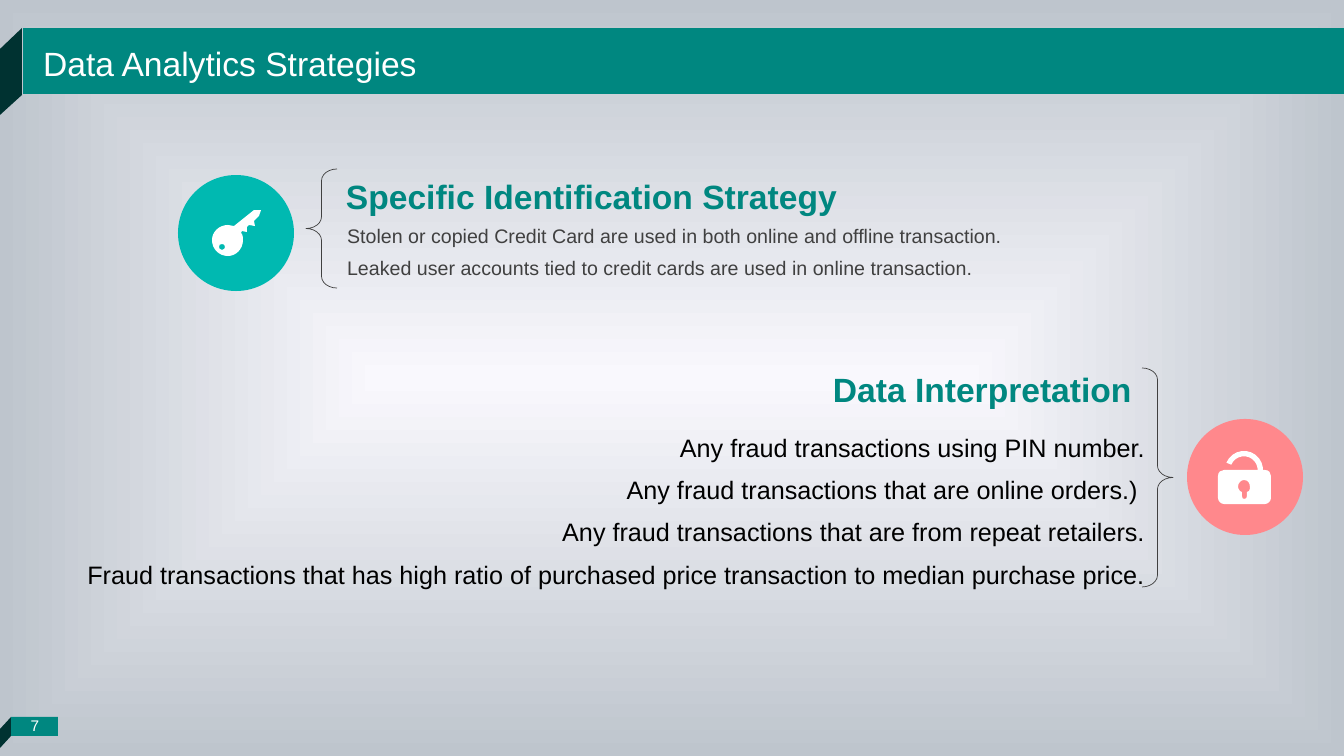
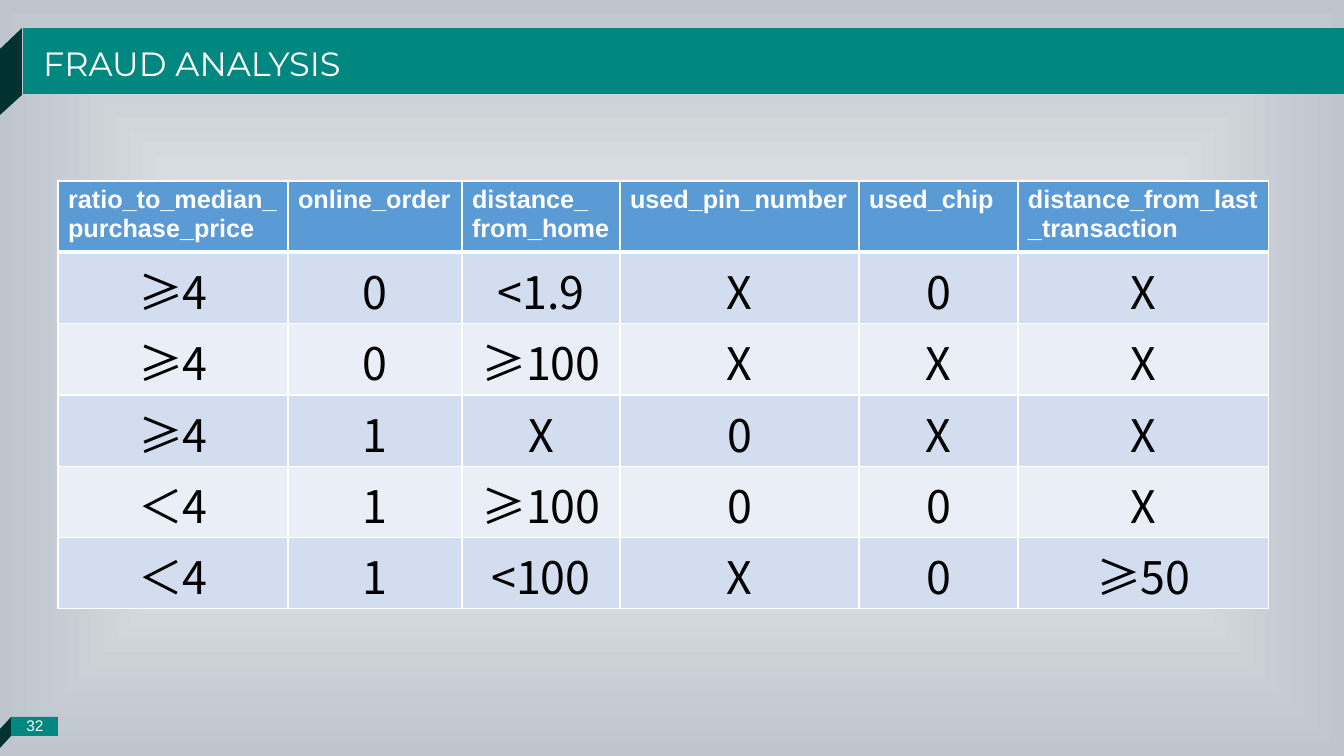
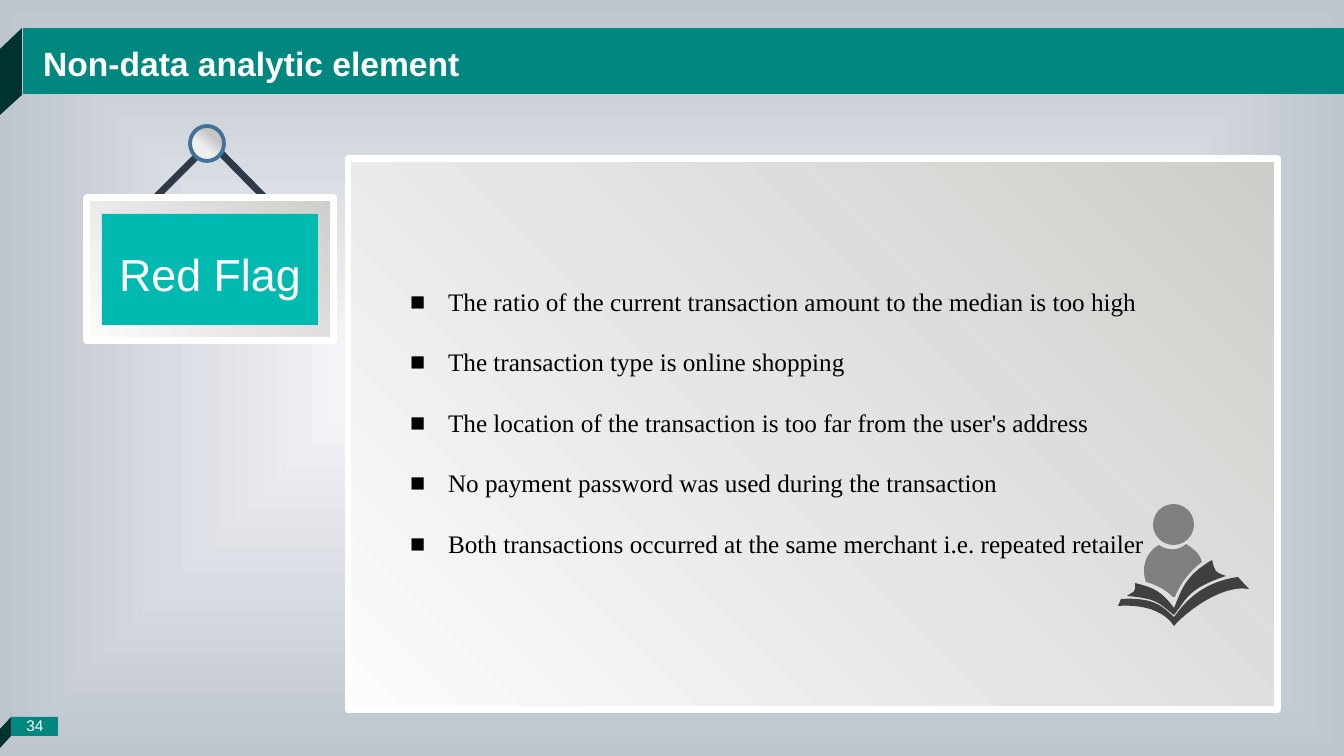
from lxml.etree import SubElement
from pptx import Presentation
from pptx.dml.color import RGBColor
from pptx.enum.shapes import MSO_CONNECTOR as Link, MSO_SHAPE as Kind
from pptx.enum.text import MSO_ANCHOR as Anchor, MSO_AUTO_SIZE as Fit, PP_ALIGN as Align
from pptx.oxml.ns import qn
from pptx.util import Emu, Pt

WIDE, HIGH = 1344, 756
PX = 12192000 / WIDE

# Colours shared by the slides
TEAL, DARK, AQUA, PINK = "008780", "003231", "00B9B1", "FF888C"
WHITE, BLACK, GREY, MID = "FFFFFF", "000000", "404040", "7F7F7F"
HEAD, BANDS = "5B9BD5", ("D2DEEF", "EAEFF7")
BACK = [(0, "F9F8FD"), (100, "BEC5CD")]
PAPER = [(0, "FCFCFC"), (100, "CFCDCA")]
METAL = [(0, "BFBFBF"), (30, "C6C6C6"), (61, "EEEEEE"), (100, "F4F4F4")]

# Outlines: a pair is a corner, six numbers are a curve
FLAPS = [
    [(0, 49), (0, 115), (22, 95), (22, 28)],
    [(11, 717), (0, 729), (0, 748), (11, 736)],
]

# Content: strategies
RISKS = [
    "Stolen or copied Credit Card are used in both online and offline transaction.",
    "Leaked user accounts tied to credit cards are used in online transaction. ",
]
SIGNS = [
    "Any fraud transactions using PIN number.",
    "Any fraud transactions that are online orders.) ",
    "Any fraud transactions that are from repeat retailers.",
    "Fraud transactions that has high ratio of purchased price transaction to median purchase price.",
]
HEADS = [
    ("Specific Identification Strategy", (336, 171, 525, 51)),
    ("Data Interpretation", (823, 364, 332, 51)),
]
BRACES = [
    (Kind.LEFT_BRACE, (306, 169, 31, 119)),
    (Kind.RIGHT_BRACE, (1142, 368, 31, 219)),
]
KEY = [
    [(222, 244), (220, 244, 219, 245, 219, 247), (219, 248, 220, 250, 222, 250),
     (224, 250, 225, 248, 225, 247), (225, 245, 224, 244, 222, 244)],
    [(261, 210), (259, 216), (254, 221), (255, 226), (249, 225), (247, 227), (247, 232),
     (242, 231), (241, 233), (242, 234), (243, 236, 243, 238, 243, 240),
     (243, 249, 236, 256, 228, 256), (219, 256, 212, 249, 212, 240),
     (212, 232, 219, 225, 228, 225), (230, 225, 232, 226, 234, 226), (254, 210)],
]
LOCK = [
    [(1244, 480), (1241, 480, 1238, 483, 1238, 487), (1238, 488, 1239, 490, 1240, 491),
     (1242, 492), (1242, 496), (1242, 498, 1243, 499, 1244, 499),
     (1246, 499, 1247, 498, 1247, 496), (1247, 492), (1249, 491),
     (1250, 490, 1250, 488, 1250, 487), (1250, 483, 1248, 480, 1244, 480)],
    [(1224, 470), (1265, 470), (1269, 470, 1271, 473, 1271, 476), (1271, 498),
     (1271, 501, 1268, 504, 1265, 504), (1224, 504), (1221, 504, 1218, 501, 1218, 498),
     (1218, 476), (1218, 472, 1221, 470, 1224, 470)],
]

# Content: analysis table
COLS = [230, 174, 158, 239, 159, 251]
ROWS = [
    ["ratio_to_median_purchase_price", "online_order", "distance_\nfrom_home",
     "used_pin_number", "used_chip", "distance_from_last_transaction"],
    ["≥4", "0", "<1.9", "X", "0", "X"],
    ["≥4", "0", "≥100", "X", "X", "X"],
    ["≥4", "1", "X", "0", "X", "X"],
    ["＜4", "1", "≥100", "0", "0", "X"],
    ["＜4", "1", "<100", "X", "0", "≥50"],
]

# Content: red flags
FLAGS = [
    "The ratio of the current transaction amount to the median is too high",
    "The transaction type is online shopping",
    "The location of the transaction is too far from the user's address",
    "No payment password was used during the transaction",
    "Both transactions occurred at the same merchant i.e. repeated retailer",
]
CORDS = [(206, 147, 151, 202), (214, 146, 268, 201)]
READER = [
    (GREY, [(1212, 560), (1185, 576, 1182, 589, 1174, 608), (1162, 592, 1155, 588, 1135, 583),
            (1136, 594, 1133, 591, 1127, 596), (1159, 599, 1158, 603, 1174, 615),
            (1187, 599, 1187, 589, 1226, 576), (1214, 572, 1215, 571, 1212, 560)]),
    (GREY, [(1238, 577), (1194, 583, 1178, 613, 1174, 617), (1163, 607, 1155, 597, 1121, 599),
            (1118, 606), (1145, 604, 1165, 612, 1174, 626), (1181, 617, 1219, 584, 1249, 589)]),
    (MID, [(1186, 544), (1194, 549, 1200, 554, 1202, 562), (1188, 572, 1178, 588, 1175, 597),
           (1173, 597), (1166, 590, 1157, 585, 1146, 582), (1145, 579, 1144, 575, 1144, 571),
           (1144, 560, 1149, 552, 1157, 546), (1159, 545), (1167, 551, 1179, 551, 1186, 544)]),
]


def px(*vals):
    return [Emu(round(v * PX)) for v in vals]


def rgb(tone):
    return RGBColor.from_string(tone)


def blend(fill, props, stops, mode, **keys):
    """Give a gradient its stops and its direction."""
    fill.gradient()
    grad = props.find(qn("a:gradFill"))
    for part in list(grad):
        grad.remove(part)
    line = SubElement(grad, qn("a:gsLst"))
    for pos, tone in stops:
        stop = SubElement(line, qn("a:gs"), pos=str(pos * 1000))
        SubElement(stop, qn("a:srgbClr"), val=tone)
    return SubElement(grad, qn(mode), **keys)


def paint(shape, fill, line=None, width=1, angle=0):
    shape.shadow.inherit = False
    if fill is None:
        shape.fill.background()
    elif isinstance(fill, str):
        shape.fill.solid()
        shape.fill.fore_color.rgb = rgb(fill)
    else:
        blend(shape.fill, shape._element.spPr, fill, "a:lin", ang=str(angle * 60000), scaled="0")
    if line:
        shape.line.color.rgb = rgb(line)
        shape.line.width = Pt(width)
    else:
        shape.line.fill.background()
    return shape


def draw(slide, kind, box, fill, *line, **keys):
    return paint(slide.shapes.add_shape(kind, *px(*box)), fill, *line, **keys)


def trace(slide, loops, fill):
    """Draw closed outlines as one shape, then bend the curved sides."""
    ends = [[step[-2:] for step in loop] for loop in loops]
    left, top = (min(p[i] for loop in ends for p in loop) for i in (0, 1))
    pen = slide.shapes.build_freeform(*ends[0][0], scale=PX)
    for n, loop in enumerate(ends):
        if n:
            pen.move_to(*loop[0])
        pen.add_line_segments(loop[1:], close=True)
    shape = pen.convert_to_shape()
    sides = list(shape._element.iter(qn("a:lnTo")))
    steps = [step for loop in loops for step in loop[1:]]
    for side, step in zip(sides, steps):
        if len(step) == 6:
            bend = side.makeelement(qn("a:cubicBezTo"))
            for x, y in zip(step[::2], step[1::2]):
                SubElement(bend, qn("a:pt"), x=str(x - left), y=str(y - top))
            side.getparent().replace(side, bend)
    return paint(shape, fill)


def write(frame, text, size, tone, font="Arial", bold=False, align=Align.LEFT, gap=None):
    frame.text = text
    for para in frame.paragraphs:
        para.alignment = align
        para.space_before = Pt(0)
        if gap:
            para.line_spacing = gap
        for run in para.runs:
            run.font.size, run.font.bold = Pt(size), bold
            run.font.color.rgb = rgb(tone)
            run.font.name = font
            SubElement(run._r.rPr, qn("a:ea"), typeface=font)


def place(shape, box):
    """Set a text holder's box and bring it to the front."""
    shape.left, shape.top, shape.width, shape.height = px(*box)
    frame = shape.text_frame
    frame.word_wrap, frame.auto_size = True, Fit.NONE
    frame.vertical_anchor = Anchor.TOP
    shape._element.getparent().append(shape._element)
    return frame


def label(slide, box, *args, **keys):
    frame = place(slide.shapes.add_textbox(0, 0, 0, 0), box)
    write(frame, *args, **keys)
    return frame


def items(shape, box, lines, size, tone, mark=None, **keys):
    frame = place(shape, box)
    write(frame, "\n".join(lines), size, tone, **keys)
    inset = px(38)[0] if mark else 0
    for para in frame.paragraphs:
        props = para._p.get_or_add_pPr()
        props.set("marL", str(inset))
        props.set("indent", str(-inset))
        if mark:
            SubElement(props, qn("a:buFont"), typeface="Arial")
            SubElement(props, qn("a:buChar"), char=mark)
        else:
            SubElement(props, qn("a:buNone"))


def start(deck, layout, title, width, page, **keys):
    """Add a slide with the title band and the page tag."""
    slide = deck.slides.add_slide(deck.slide_layouts[layout])
    draw(slide, Kind.RECTANGLE, (23, 28, WIDE - 23, 66), TEAL)
    draw(slide, Kind.RECTANGLE, (11, 717, 47, 19), TEAL)
    for flap in FLAPS:
        trace(slide, [flap], DARK)
    label(slide, (12, 711, 46, 32), str(page), 11, WHITE, align=Align.CENTER)
    write(place(slide.shapes.title, (33, 38, width, 51)), title, 24, WHITE, **keys)
    return slide


def plans(deck):
    slide = start(deck, 3, "Data Analytics Strategies", 407, 7)
    body = slide.placeholders
    items(body[1], (337, 209, 784, 73), RISKS, 14, GREY, align=Align.JUSTIFY, gap=1.4)
    items(body[2], (56, 415, 1099, 176), SIGNS, 18, BLACK, align=Align.RIGHT, gap=1.4)
    for text, box in HEADS:
        label(slide, box, text, 24, TEAL, bold=True)
    for kind, box in BRACES:
        brace = draw(slide, kind, box, None, GREY, 0.5)
        brace.adjustments[0] = 0.38

    # Key badge
    draw(slide, Kind.OVAL, (178, 175, 116, 116), AQUA)
    trace(slide, KEY, WHITE)

    # Padlock badge
    draw(slide, Kind.OVAL, (1187, 419, 116, 116), PINK)
    hoop = draw(slide, Kind.BLOCK_ARC, (1225, 451, 38, 38), WHITE)
    hoop.adjustments[2] = 0.14
    hoop.rotation = 22.4
    trace(slide, LOCK, WHITE)


def edge(cell, side, width):
    line = SubElement(cell._tc.get_or_add_tcPr(), qn("a:ln" + side), w=str(Pt(width)))
    SubElement(SubElement(line, qn("a:solidFill")), qn("a:srgbClr"), val=WHITE)


def table(deck):
    slide = start(deck, 5, "FRAUD ANALYSIS", 348, 32, font="Montserrat")
    grid = slide.shapes.add_table(len(ROWS), len(COLS), *px(58, 181, sum(COLS), 428)).table
    for col, width in zip(grid.columns, COLS):
        col.width = px(width)[0]
    for r, row in enumerate(ROWS):
        for c, text in enumerate(row):
            cell = grid.cell(r, c)
            for side in "LRTB":
                thick = (r, side) in ((0, "B"), (1, "T"))
                edge(cell, side, 3 if thick else 1)
            cell.fill.solid()
            cell.fill.fore_color.rgb = rgb(BANDS[(r - 1) % 2] if r else HEAD)
            if r:
                cell.margin_bottom = 0
                write(cell.text_frame, text, 32, BLACK, "Noto Sans CJK SC", align=Align.CENTER)
            else:
                write(cell.text_frame, text, 18, WHITE, bold=True)


def flags(deck):
    slide = start(deck, 1, "Non-data analytic element", 440, 34, bold=True)
    draw(slide, Kind.RECTANGLE, (348, 159, 930, 551), PAPER, WHITE, 5, angle=315)
    items(slide.placeholders[1], (400, 251, 793, 307), FLAGS, 18, BLACK, mark="■",
          font="Times New Roman", align=Align.JUSTIFY, gap=2.0)

    # Hanging sign
    for cord in CORDS:
        line = slide.shapes.add_connector(Link.STRAIGHT, *px(*cord))
        line.line.color.rgb = rgb("2E3A49")
        line.line.width = Pt(5)
        SubElement(line._element.spPr, qn("a:effectLst"))
    draw(slide, Kind.RECTANGLE, (87, 198, 247, 143), PAPER, WHITE, 5, angle=315)
    draw(slide, Kind.RECTANGLE, (102, 214, 216, 111), AQUA)
    draw(slide, Kind.OVAL, (190, 126, 34, 35), METAL, "42719B", 2.75, angle=130)
    label(slide, (102, 242, 216, 65), "Red Flag", 32, WHITE, align=Align.CENTER)

    # Reader with a book
    for tone, loop in READER:
        trace(slide, [loop], tone)
    draw(slide, Kind.OVAL, (1153, 504, 41, 41), MID)


def main():
    deck = Presentation()
    deck.slide_width, deck.slide_height = px(WIDE, HIGH)
    master = deck.slide_master
    fill = master.background.fill
    props = master._element.cSld.find(".//" + qn("p:bgPr"))
    glow = blend(fill, props, BACK, "a:path", path="rect")
    SubElement(glow, qn("a:fillToRect"), l="50000", t="-80000", r="50000", b="-80000")
    for make in (plans, table, flags):
        make(deck)
    deck.save("out.pptx")


if __name__ == "__main__":
    main()
